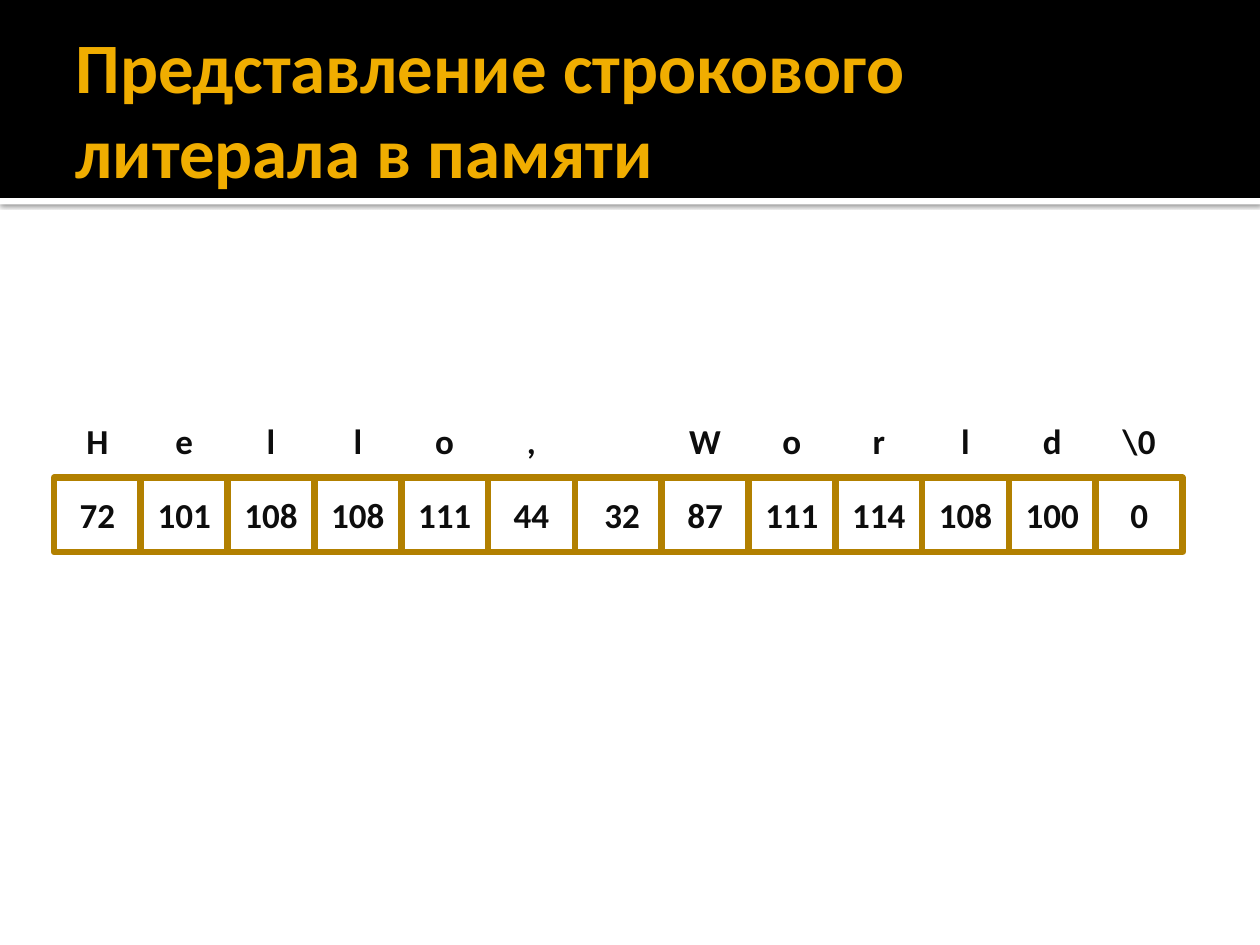
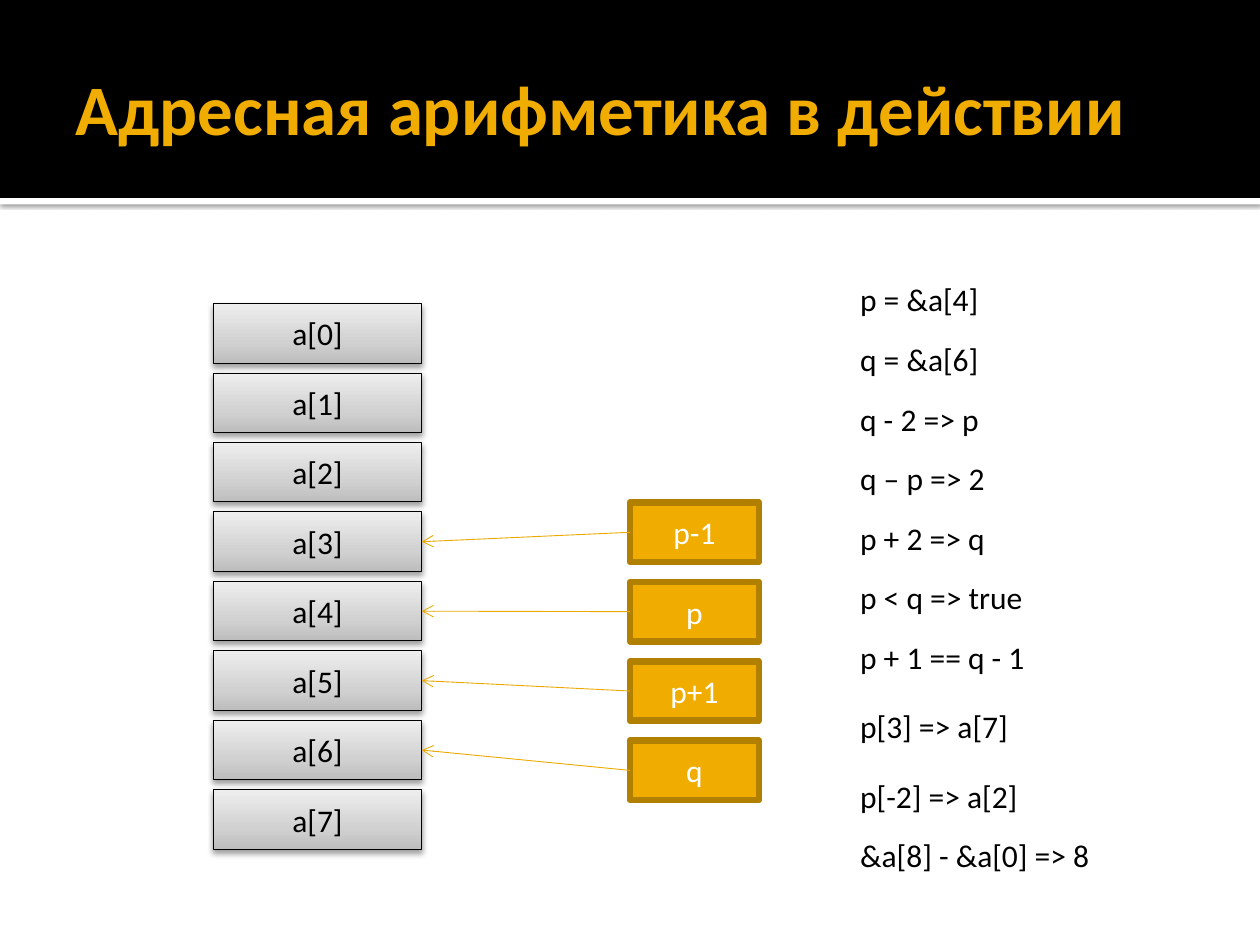
from dataclasses import dataclass
from itertools import accumulate

from lxml.etree import SubElement
from pptx import Presentation
from pptx.dml.color import RGBColor as Rgb
from pptx.enum.shapes import MSO_CONNECTOR as Connector, MSO_SHAPE as Shape
from pptx.enum.text import MSO_ANCHOR as Anchor, MSO_AUTO_SIZE as AutoSize, PP_ALIGN as Align
from pptx.oxml.ns import qn
from pptx.util import Cm, Pt


@dataclass(frozen=True)
class Theme:
    """Colours, font and type sizes of the deck."""
    font: str = "Calibri"
    black: str = "000000"
    white: str = "FFFFFF"
    ink: str = "0D0D0D"
    gold: str = "F0AD00"
    arrow: str = "EBA900"
    border: str = "B28000"
    silver: tuple = ((0, "BDBDBD"), (35, "D1D1D1"), (100, "EEEEEE"))
    title_size: float = 40.5
    code_size: float = 20
    body_size: float = 18
    thin: float = 0.5
    thick: float = 3.78


@dataclass(frozen=True)
class Box:
    """A rectangle measured in centimetres."""
    left: float
    top: float
    width: float
    height: float

    def inner(self, left, top, width, height):
        """Return a box placed relative to this one."""
        return Box(self.left + left, self.top + top, width, height)

    def lengths(self):
        """Return the four sides as slide lengths."""
        return Cm(self.left), Cm(self.top), Cm(self.width), Cm(self.height)


THEME = Theme()
PAGE = Box(0, 0, 25.4, 19.05)
BAND_HEIGHT = 3.99
TITLE = Box(1.27, 0.43, 22.86, 3.48)

LETTERS = [*"Hello, World", "\\0"]
CODES = ["72", "101", "108", "108", "111", "44", " 32",
         "87", "111", "114", "108", "100", "0"]

POINTERS = [("p-1", 3), ("p", 4), ("p+1", 5), ("q", 6)]
FACTS = [
    ("p = &a[4]", 0, 3.35),
    ("q = &a[6]", 1.2, 3.35),
    ("q - 2 => p", 1.2, 3.56),
    ("q – p => 2", 1.2, 3.66),
    ("p + 2 => q", 1.2, 3.78),
    ("p < q => true", 1.2, 4.57),
    ("p + 1 == q - 1", 1.2, 4.78),
    ("p[3] => a[7]", 1.4, 4.22),
    ("p[-2] => a[2]", 1.4, 4.47),
    ("&a[8] - &a[0] => 8", 1.2, 6.05),
]


def write(shape, text, size, colour, bold=False, align=Align.CENTER, anchor=Anchor.MIDDLE):
    """Put one formatted paragraph into a shape."""
    frame = shape.text_frame
    frame.text = text
    frame.vertical_anchor = anchor
    para = frame.paragraphs[0]
    para.alignment = align
    for span in para.runs:
        font = span.font
        font.name, font.size, font.bold = THEME.font, Pt(size), bold
        font.color.rgb = Rgb.from_string(colour)


def add_rect(shapes, box, fill=None, line=None, width=0):
    """Add a rectangle without a shadow."""
    rect = shapes.add_shape(Shape.RECTANGLE, *box.lengths())
    rect.shadow.inherit = False
    if fill:
        rect.fill.solid()
        rect.fill.fore_color.rgb = Rgb.from_string(fill)
    else:
        rect.fill.background()
    if line:
        rect.line.color.rgb = Rgb.from_string(line)
        rect.line.width = Pt(width)
    else:
        rect.line.fill.background()
    return rect


def add_colour(parent, colour):
    """Append a colour element and return it."""
    return SubElement(parent, qn("a:srgbClr"), val=colour)


def cast_shadow(shape, opacity, blur, distance):
    """Give a shape a black shadow falling downwards."""
    effects = shape._element.spPr.find(qn("a:effectLst"))
    shadow = SubElement(effects, qn("a:outerShdw"), blurRad=str(Pt(blur)),
                        dist=str(Pt(distance)), dir="5400000", rotWithShape="0")
    SubElement(add_colour(shadow, THEME.black), qn("a:alpha"), val=str(opacity * 1000))


def fill_silver(shape):
    """Fill a shape with the silver gradient, darkest at the bottom."""
    shape.fill.gradient()
    shape.fill.gradient_angle = 90
    stops = shape._element.spPr.find(".//" + qn("a:gsLst"))
    for stop in list(stops):
        stops.remove(stop)
    for position, colour in THEME.silver:
        add_colour(SubElement(stops, qn("a:gs"), pos=str(position * 1000)), colour)


def dress_layout(page):
    """Build the header bands and move them into the page's layout."""
    stripe = add_rect(page.shapes, PAGE.inner(0, BAND_HEIGHT, PAGE.width, 0.13), THEME.white)
    cast_shadow(stripe, 60, 2.5, 0.8)
    header = add_rect(page.shapes, PAGE.inner(0, 0, PAGE.width, BAND_HEIGHT), THEME.black)
    tree = page.slide_layout.shapes._spTree
    for index, band in enumerate((stripe, header)):
        band._element.nvSpPr.cNvPr.set("id", str(20 + index))
        tree.insert(2 + index, band._element)


def add_page(deck, title):
    """Add a title-only page and format its title."""
    page = deck.slides.add_slide(deck.slide_layouts[5])
    holder = page.shapes.title
    holder.left, holder.top, holder.width, holder.height = TITLE.lengths()
    write(holder, title, THEME.title_size, THEME.gold, True, Align.LEFT)
    frame = holder.text_frame
    frame.auto_size = AutoSize.NONE
    frame.margin_left = Cm(0.25)
    frame.margin_right = frame.margin_top = frame.margin_bottom = Cm(0.13)
    return page


def add_memory_row(page, box):
    """Draw the letters above the cells that hold their codes."""
    shapes = page.shapes.add_group_shape().shapes
    width, height = box.width / len(CODES), box.height / 2
    for index, (letter, code) in enumerate(zip(LETTERS, CODES)):
        if letter != " ":
            label = shapes.add_textbox(*box.inner(index * width, 0, width, height).lengths())
            label.text_frame.word_wrap = True
            write(label, letter, THEME.code_size, THEME.ink, True)
        cell = add_rect(shapes, box.inner(index * width, height, width, height),
                        line=THEME.border, width=THEME.thick)
        write(cell, code, THEME.code_size, THEME.ink, True)


def add_array(page, box, count=8, pitch=1.4):
    """Stack the array elements and return their shapes."""
    cells = []
    for index in range(count):
        cell = add_rect(page.shapes, box.inner(0, index * pitch, box.width, 1.2),
                        THEME.white, THEME.black, THEME.thin)
        fill_silver(cell)
        cast_shadow(cell, 38, 3.5, 2)
        write(cell, f"a[{index}]", THEME.body_size, THEME.black)
        cells.append(cell)
    return cells


def add_arrow(page, source, target):
    """Join the left side of one shape to the right side of another."""
    arrow = page.shapes.add_connector(Connector.STRAIGHT, 0, 0, 0, 0)
    arrow.begin_connect(source, 1)
    arrow.end_connect(target, 3)
    arrow.line.color.rgb = Rgb.from_string(THEME.arrow)
    arrow.line.width = Pt(THEME.thin)
    SubElement(arrow.line._get_or_add_ln(), qn("a:tailEnd"), type="arrow")
    SubElement(arrow._element.spPr, qn("a:effectLst"))


def add_pointers(page, box, cells, pitch=1.6):
    """Stack the pointers and draw an arrow from each to its element."""
    for row, (name, index) in enumerate(POINTERS):
        pointer = add_rect(page.shapes, box.inner(0, row * pitch, box.width, 1.2),
                           THEME.gold, THEME.border, THEME.thick)
        write(pointer, name, THEME.body_size, THEME.white)
        add_arrow(page, pointer, cells[index])


def add_facts(page, box):
    """List the pointer expressions from top to bottom."""
    tops = accumulate(gap for _, gap, _ in FACTS)
    for top, (text, _, width) in zip(tops, FACTS):
        note = page.shapes.add_textbox(*box.inner(0, top, width, 1.03).lengths())
        note.text_frame.word_wrap = False
        note.text_frame.auto_size = AutoSize.SHAPE_TO_FIT_TEXT
        write(note, text, THEME.body_size, THEME.black, align=Align.LEFT, anchor=Anchor.TOP)


def main():
    """Build and save the deck."""
    deck = Presentation()
    deck.slide_width, deck.slide_height = Cm(PAGE.width), Cm(PAGE.height)

    literal = add_page(deck, "Представление строкового литерала в памяти")
    dress_layout(literal)
    add_memory_row(literal, Box(1.09, 8.13, 22.75, 3))

    arithmetic = add_page(deck, "Адресная арифметика в действии")
    cells = add_array(arithmetic, Box(4.3, 6.12, 4.2, 11))
    add_pointers(arithmetic, Box(12.7, 10.13, 2.6, 6), cells)
    add_facts(arithmetic, Box(17.09, 5.53, 6.05, 12.2))

    deck.save("out.pptx")


if __name__ == "__main__":
    main()
